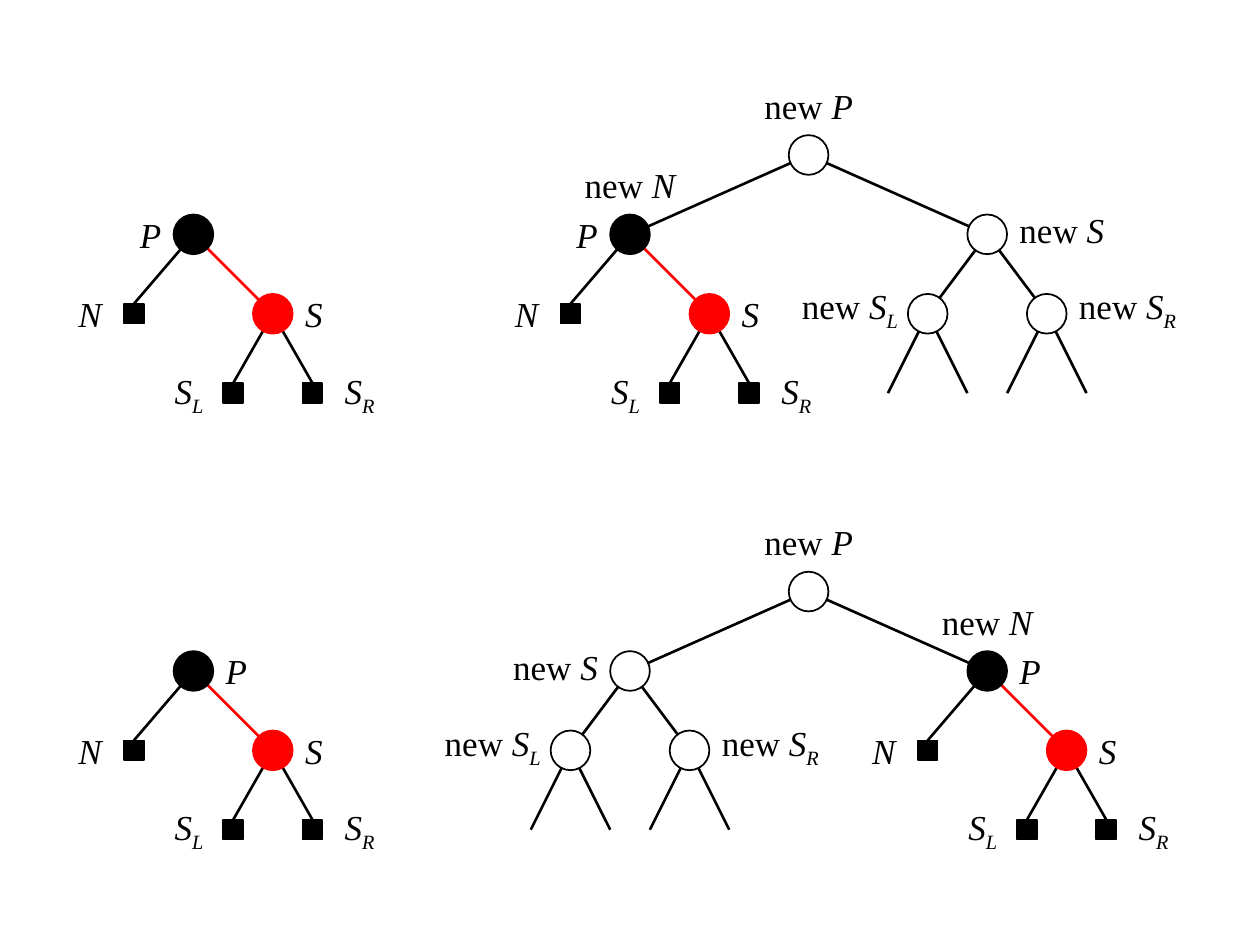
from dataclasses import dataclass

from lxml import etree
from pptx import Presentation
from pptx.dml.color import RGBColor
from pptx.enum import shapes, text
from pptx.oxml import ns
from pptx.util import Pt


@dataclass(frozen=True)
class Theme:
    black = RGBColor(0, 0, 0)
    red = RGBColor(255, 0, 0)
    white = RGBColor(255, 255, 255)
    font = "Times New Roman"
    label_size = Pt(20)
    edge_width = Pt(1.5)
    outline_width = Pt(1)


theme = Theme()
STEP = 22.68
ORIGIN_X, ORIGIN_Y = 110.55, 133.95
ROW_GAP = 11


def place_x(column):
    return Pt(round(ORIGIN_X + column * STEP, 2))


def place_y(level):
    return Pt(round(ORIGIN_Y + level * STEP, 2))


edges, circles, squares, labels = [], [], [], []

for x, y, parent_side in (
    (0, 0, "left"),
    (11, 0, "left"),
    (0, ROW_GAP, "right"),
    (20, ROW_GAP, "right"),
):
    sibling = (x + 2, y + 2)
    leaves = {"N": (x - 1.5, y + 2), "S_L": (x + 1, y + 4), "S_R": (x + 3, y + 4)}
    edges.append(((x, y), sibling, theme.red))
    circles += [((x, y), theme.black, theme.black), (sibling, theme.red, theme.red)]
    labels += [("P", (x, y), parent_side), ("S", sibling, "right")]
    for name, leaf in leaves.items():
        edges.append(((x, y) if name == "N" else sibling, leaf, theme.black))
        squares.append(leaf)
        labels.append((name, leaf, "right" if name == "S_R" else "left"))

for y, node_x, sibling_x, sibling_side in (
    (0, 11, 20, "right"),
    (ROW_GAP, 20, 11, "left"),
):
    parent, sibling = (15.5, y - 2), (sibling_x, y)
    edges += [(parent, (node_x, y), theme.black), (parent, sibling, theme.black)]
    circles += [(top, theme.white, theme.black) for top in (parent, sibling)]
    labels += [
        ("new P", parent, "above"),
        ("new N", (node_x, y), "above"),
        ("new S", sibling, sibling_side),
    ]
    for name, shift, side in (("new S_L", -1.5, "left"), ("new S_R", 1.5, "right")):
        child = (sibling_x + shift, y + 2)
        edges.append((sibling, child, theme.black))
        edges += [(child, (child[0] + d, y + 4), theme.black) for d in (-1, 1)]
        circles.append((child, theme.white, theme.black))
        labels.append((name, child, side))

prs = Presentation()
prs.slide_width, prs.slide_height = Pt(720), Pt(540)
slide = prs.slides.add_slide(prs.slide_layouts[6])

leaf_edges = []
for start, end, color in edges:
    end_level = end[1] - 0.25 if end in squares else end[1]
    edge = slide.shapes.add_connector(
        shapes.MSO_CONNECTOR.STRAIGHT,
        place_x(start[0]), place_y(start[1]), place_x(end[0]), place_y(end_level),
    )
    edge.line.color.rgb = color
    edge.line.width = theme.edge_width
    etree.SubElement(edge._element.spPr, ns.qn("a:effectLst"))
    if end in squares:
        leaf_edges.append((edge, end))

nodes = [(shapes.MSO_SHAPE.OVAL, 1, *circle) for circle in circles]
nodes += [
    (shapes.MSO_SHAPE.RECTANGLE, 0.5, leaf, theme.black, theme.black)
    for leaf in squares
]
drawn = {}
for preset, size, center, fill, outline in nodes:
    node = slide.shapes.add_shape(
        preset,
        place_x(center[0] - size / 2), place_y(center[1] - size / 2),
        Pt(size * STEP), Pt(size * STEP),
    )
    node.shadow.inherit = False
    node.fill.solid()
    node.fill.fore_color.rgb = fill
    node.line.color.rgb = outline
    node.line.width = theme.outline_width
    drawn[center] = node

for edge, leaf in leaf_edges:
    edge.end_connect(drawn[leaf], 0)

alignments = {
    "left": text.PP_ALIGN.RIGHT,
    "right": text.PP_ALIGN.LEFT,
    "above": text.PP_ALIGN.CENTER,
}
for name, (x, y), side in labels:
    is_new = name.startswith("new ")
    letter, _, subscript = name.removeprefix("new ").partition("_")
    width = 3 if is_new else 1.5
    height = 1.5 if side == "above" else 2
    left = {"left": x - 0.5 - width, "right": x + 0.5, "above": x - width / 2}[side]
    top = y - 2 if side == "above" else y - 1
    label = slide.shapes.add_textbox(
        place_x(left), place_y(top), Pt(width * STEP), Pt(height * STEP)
    )
    frame = label.text_frame
    frame.word_wrap = True
    frame.vertical_anchor = text.MSO_ANCHOR.MIDDLE
    if is_new and side != "above":
        frame.margin_top, frame.margin_bottom = 0, Pt(5.67)
    if subscript == "L":
        frame.margin_right = Pt(5.67)
        if is_new:
            frame.margin_left = Pt(5.67)
    elif subscript == "R" and is_new:
        frame.margin_right = Pt(2.83)
    paragraph = frame.paragraphs[0]
    paragraph.alignment = alignments[side]
    for part in filter(None, ("new " if is_new else "", letter, subscript)):
        run = paragraph.add_run()
        run.text = part
        run.font.name = theme.font
        run.font.size = theme.label_size
        run.font.color.rgb = theme.black
        run.font.italic = part != "new "
        if part == subscript:
            run._r.get_or_add_rPr().set("baseline", "-25000")

prs.save("out.pptx")
